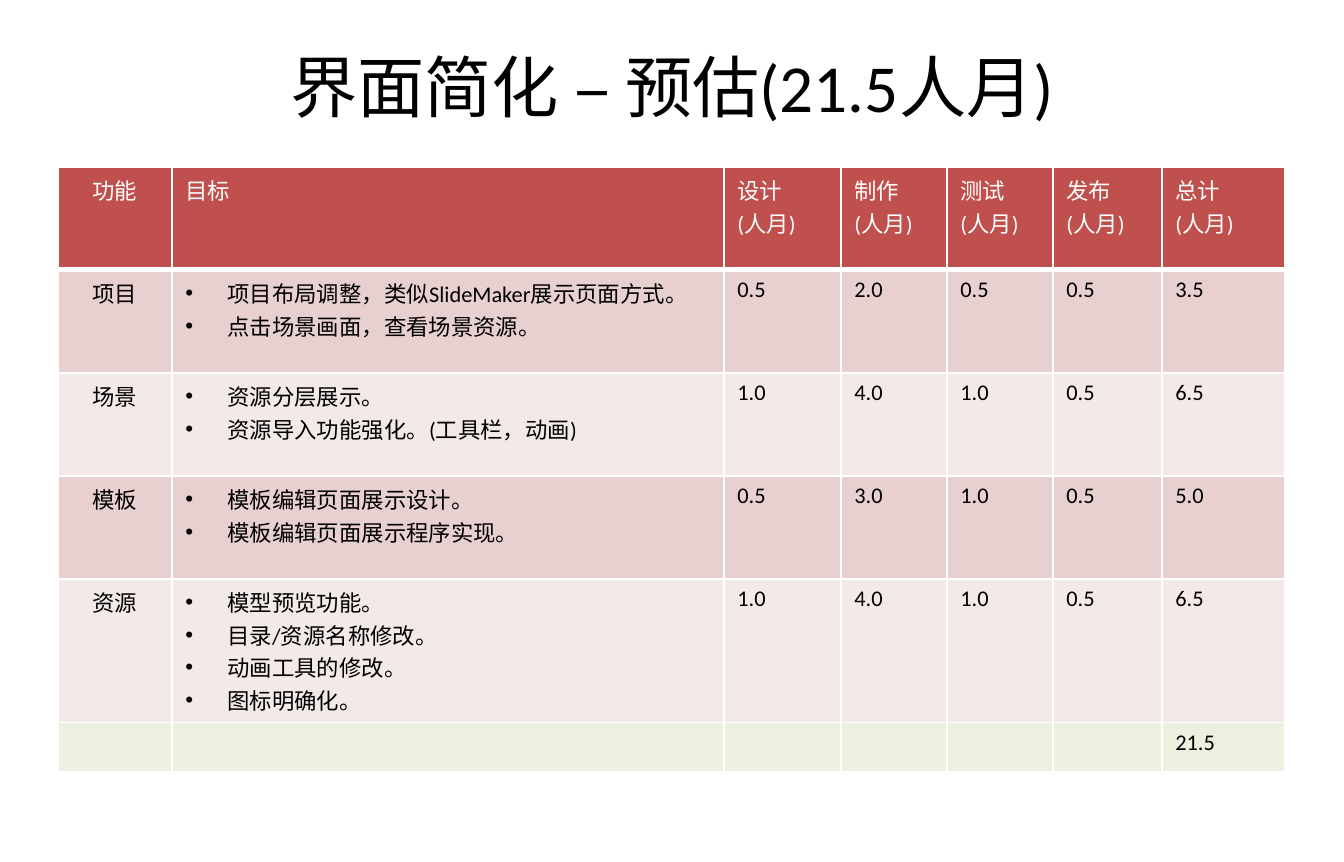
from dataclasses import dataclass

from lxml.etree import SubElement
from pptx import Presentation
from pptx.dml.color import RGBColor as Color
from pptx.enum.text import MSO_ANCHOR as Anchor, PP_ALIGN as Align
from pptx.oxml.ns import qn
from pptx.util import Pt


@dataclass(frozen=True)
class Theme:
    """Colours, font and type sizes of the slide."""
    font: str = "Calibri"
    title_size: int = 36
    body_size: int = 12
    ink: str = "000000"
    paper: str = "FFFFFF"
    header: str = "C0504D"
    bands: tuple = ("E8D0D0", "F4E9E9")
    total: str = "EBF1DE"
    border: int = 1
    header_rule: int = 3


class Deck:
    """Holds the theme and the current slide and draws its elements."""

    def __init__(self, width, height, theme):
        self.theme = theme
        self.presentation = Presentation()
        self.presentation.slide_width = self.px(width)
        self.presentation.slide_height = self.px(height)
        self.slide = self.presentation.slides.add_slide(self.presentation.slide_layouts[5])

    def px(self, pixels):
        return round(pixels * 914400 / 134.4)

    def style(self, paragraph, size, color, align):
        paragraph.alignment = align
        font = paragraph.font
        font.name, font.size, font.bold = self.theme.font, Pt(size), False
        font.color.rgb = Color.from_string(color)

    def title(self, text, left, top, width, height):
        shape = self.slide.shapes.title
        shape.left, shape.top = self.px(left), self.px(top)
        shape.width, shape.height = self.px(width), self.px(height)
        frame = shape.text_frame
        frame.text = text
        frame.vertical_anchor = Anchor.MIDDLE
        self.style(frame.paragraphs[0], self.theme.title_size, self.theme.ink, Align.CENTER)

    def table(self, left, top, widths, heights, rows):
        shape = self.slide.shapes.add_table(
            len(heights), len(widths), self.px(left), self.px(top),
            self.px(sum(widths)), self.px(sum(heights)))
        table = shape.table
        for column, width in zip(table.columns, widths):
            column.width = self.px(width)
        for row, height in zip(table.rows, heights):
            row.height = self.px(height)
        last = len(rows) - 1
        for i, texts in enumerate(rows):
            header = i == 0
            fill = (self.theme.header if header else self.theme.total if i == last
                    else self.theme.bands[(i - 1) % 2])
            for j, text in enumerate(texts):
                self.cell(table.cell(i, j), text, fill, header, j == 0, j == 1 and not header)

    def cell(self, cell, text, fill, header, centred, bulleted):
        theme = self.theme
        self.borders(cell, theme.header_rule if header else theme.border)
        cell.fill.solid()
        cell.fill.fore_color.rgb = Color.from_string(fill)
        cell.text = text
        for paragraph in cell.text_frame.paragraphs:
            self.style(paragraph, theme.body_size, theme.paper if header else theme.ink,
                       Align.CENTER if centred else Align.LEFT)
            if not text:
                SubElement(paragraph._p, qn("a:endParaRPr"), sz=str(theme.body_size * 100))
            elif bulleted:
                self.bullet(paragraph)

    def borders(self, cell, bottom):
        properties = cell._tc.get_or_add_tcPr()
        for side in "LRTB":
            width = bottom if side == "B" else self.theme.border
            line = SubElement(properties, qn(f"a:ln{side}"), w=str(Pt(width)))
            SubElement(SubElement(line, qn("a:solidFill")), qn("a:srgbClr"), val=self.theme.paper)

    def bullet(self, paragraph):
        properties = paragraph._p.get_or_add_pPr()
        indent = self.px(42)
        properties.set("marL", str(indent))
        properties.set("indent", str(-indent))
        font = properties.find(qn("a:defRPr"))
        for tag, name, value in (("a:buFont", "typeface", "Arial"), ("a:buChar", "char", "•")):
            mark = SubElement(properties, qn(tag))
            mark.set(name, value)
            font.addprevious(mark)

    def save(self):
        self.presentation.save("out.pptx")


UNIT = "\n(人月)"
HEADINGS = ["功能", "目标"] + [name + UNIT for name in ("设计", "制作", "测试", "发布", "总计")]
FEATURES = [
    ("项目", "项目布局调整，类似SlideMaker展示页面方式。\n点击场景画面，查看场景资源。",
     (0.5, 2.0, 0.5, 0.5)),
    ("场景", "资源分层展示。\n资源导入功能强化。(工具栏，动画)", (1.0, 4.0, 1.0, 0.5)),
    ("模板", "模板编辑页面展示设计。\n模板编辑页面展示程序实现。", (0.5, 3.0, 1.0, 0.5)),
    ("资源", "模型预览功能。\n目录/资源名称修改。\n动画工具的修改。\n图标明确化。",
     (1.0, 4.0, 1.0, 0.5)),
]
total = sum(sum(months) for _, _, months in FEATURES)
rows = [HEADINGS]
for feature, goals, months in FEATURES:
    rows.append([feature, goals] + [f"{value:.1f}" for value in (*months, sum(months))])
rows.append([""] * 6 + [f"{total:.1f}"])

deck = Deck(1344, 862, Theme())
deck.title(f"界面简化 – 预估({total:.1f}人月)", 67, 35, 1210, 101)
deck.table(58, 167, (114, 552, 117, 106, 106, 109, 123), (103, 103, 103, 103, 120, 50), rows)
deck.save()
